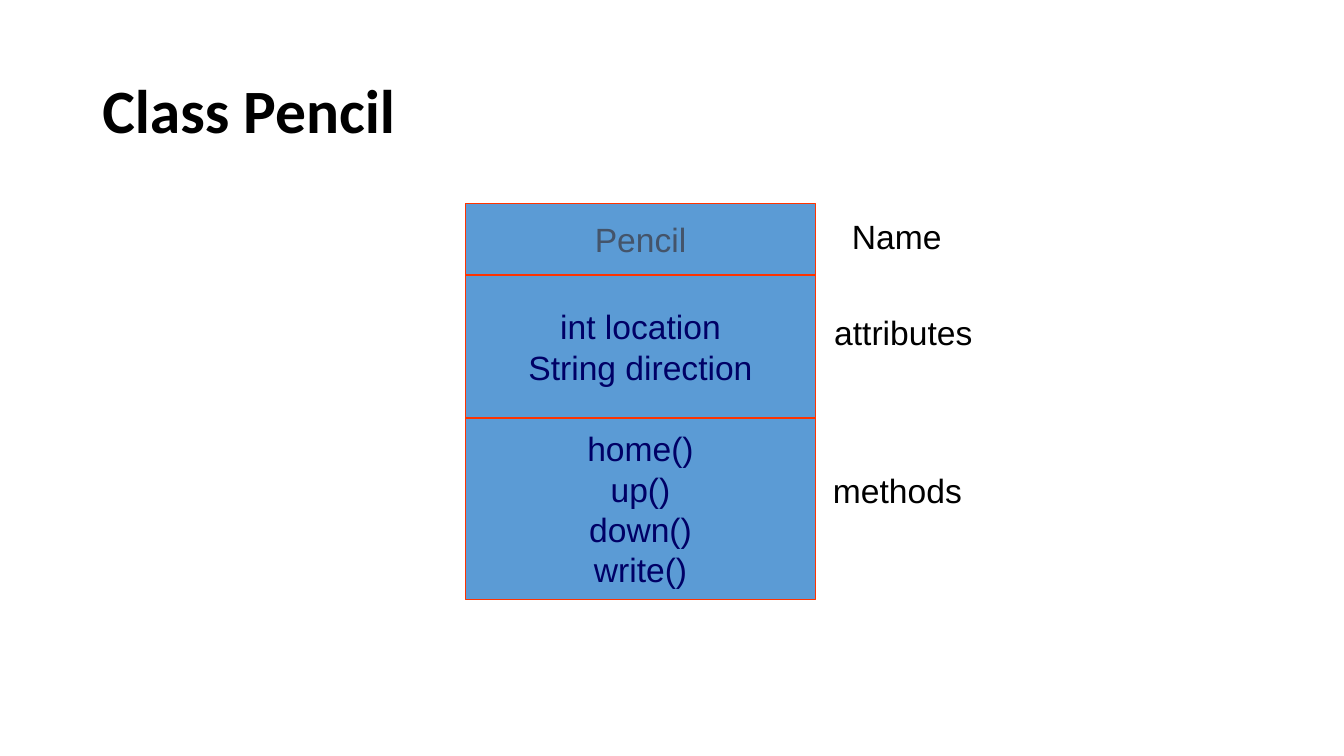
from pptx import Presentation
from pptx.dml.color import RGBColor
from pptx.enum.shapes import MSO_SHAPE
from pptx.enum.text import MSO_ANCHOR, MSO_AUTO_SIZE, PP_ALIGN
from pptx.util import Pt

BLACK = RGBColor(0x00, 0x00, 0x00)
NAVY = RGBColor(0x00, 0x00, 0x66)
SLATE = RGBColor(0x44, 0x54, 0x6A)
BLUE = RGBColor(0x5B, 0x9B, 0xD5)
RED = RGBColor(0xFF, 0x33, 0x00)

COMPARTMENTS = [
    (51, SLATE, ["Pencil"]),
    (102, NAVY, ["int location", "String direction"]),
    (130, NAVY, ["home()", "up()", "down()", "write()"]),
]
LABELS = [
    ("Name", 18.5, 5.5, 79),
    ("attributes", 5.5, 73.5, 114.5),
    ("methods", 5, 186.5, 107),
]


def write_lines(frame, lines, color, align=PP_ALIGN.CENTER, **font_values):
    """Fill a text frame with one formatted paragraph per line."""
    values = {"name": "Arial", "size": Pt(24), **font_values}
    for index, line in enumerate(lines):
        paragraph = frame.add_paragraph() if index else frame.paragraphs[0]
        paragraph.alignment = align
        run = paragraph.add_run()
        run.text = line
        for key, value in values.items():
            setattr(run.font, key, value)
        run.font.color.rgb = color


def add_heading(slide, left, top, width, height):
    """Place the slide heading in its box."""
    frame = slide.shapes.add_textbox(Pt(left), Pt(top), Pt(width), Pt(height)).text_frame
    layout = {"word_wrap": True, "vertical_anchor": MSO_ANCHOR.MIDDLE,
              "margin_top": Pt(7.2), "margin_bottom": Pt(7.2)}
    for key, value in layout.items():
        setattr(frame, key, value)
    write_lines(frame, ["Class Pencil"], BLACK, PP_ALIGN.LEFT,
                name="Calibri", size=Pt(44), bold=True)
    frame.paragraphs[0].line_spacing = 0.9


def add_class_diagram(slide, left, top, width):
    """Stack the compartments of the class from the top of the box down."""
    for height, color, lines in COMPARTMENTS:
        compartment = slide.shapes.add_shape(
            MSO_SHAPE.RECTANGLE, Pt(left), Pt(top), Pt(width), Pt(height))
        compartment.shadow.inherit = False
        compartment.fill.solid()
        compartment.fill.fore_color.rgb = BLUE
        compartment.line.color.rgb = RED
        compartment.line.width = Pt(1)
        frame = compartment.text_frame
        frame.word_wrap = False
        frame.vertical_anchor = MSO_ANCHOR.MIDDLE
        write_lines(frame, lines, color)
        top += height


def add_labels(slide, left, top, height):
    """Name each compartment, offset from the upper right of the diagram."""
    for label, right_shift, down_shift, width in LABELS:
        frame = slide.shapes.add_textbox(
            Pt(left + right_shift), Pt(top + down_shift), Pt(width), Pt(height)).text_frame
        frame.word_wrap = False
        frame.auto_size = MSO_AUTO_SIZE.SHAPE_TO_FIT_TEXT
        write_lines(frame, [label], BLACK)


def main():
    """Build and save the slide."""
    presentation = Presentation()
    presentation.slide_width = Pt(960)
    presentation.slide_height = Pt(540)
    slide = presentation.slides.add_slide(presentation.slide_layouts[6])
    diagram_left, diagram_top, diagram_width = 332.5, 145.5, 250
    add_heading(slide, 66, 29, 828, 104.5)
    add_class_diagram(slide, diagram_left, diagram_top, diagram_width)
    add_labels(slide, diagram_left + diagram_width, diagram_top, 36)
    presentation.save("out.pptx")


if __name__ == "__main__":
    main()
